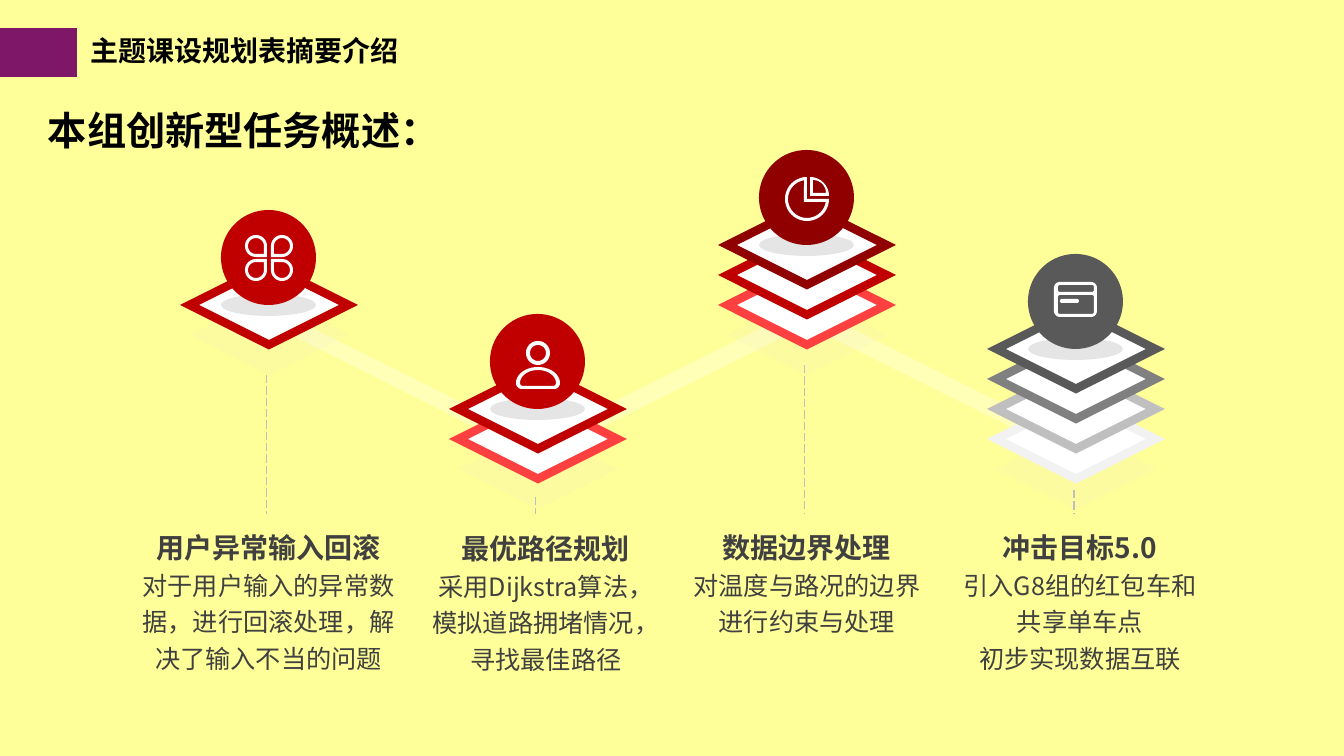
import math

import pptx
import pptx.dml.color
import pptx.enum.dml
import pptx.enum.shapes
import pptx.enum.text
import pptx.oxml.ns
import pptx.util
from lxml import etree

PX = 12192000 / 1344
FONT = "Noto Sans CJK SC"
INK = {
    "page": "FFFF99", "plum": "7F1769", "black": "000000", "text": "404040",
    "white": "FFFFFF", "shade": "E5DEDB", "coral": "FF4040", "red": "C00000",
    "wine": "900000", "pale": "F2F2F2", "light": "BFBFBF", "mid": "808080",
    "dark": "595959",
}
PITCH = 269
LIFT = 30


def emu(n):
    return round(n * PX)


def rgb(name):
    return pptx.dml.color.RGBColor.from_string(INK[name])


def qn(tag):
    return pptx.oxml.ns.qn(tag)


def paint(shape, ink, alpha=100):
    shape.shadow.inherit = False
    shape.fill.solid()
    shape.fill.fore_color.rgb = rgb(ink)
    shape.line.fill.background()
    if alpha < 100:
        tint = shape._element.spPr.find(".//" + qn("a:srgbClr"))
        etree.SubElement(tint, qn("a:alpha"), val=str(alpha * 1000))


def block(slide, kind, box, ink, alpha=100):
    paint(slide.shapes.add_shape(kind, *map(emu, box)), ink, alpha)


def trace(slide, loops, ink, alpha=100, x=0, y=0):
    build = None
    for loop in loops:
        pts = [(emu(x + px), emu(y + py)) for px, py in loop]
        if build is None:
            build = slide.shapes.build_freeform(*pts[0], scale=1.0)
        else:
            build.move_to(*pts[0])
        build.add_line_segments(pts[1:], close=True)
    paint(build.convert_to_shape(), ink, alpha)


def arc(x, y, rx, ry, start, end):
    count = max(6, (end - start) // 9)
    turns = [math.radians(start + (end - start) * i / count) for i in range(count + 1)]
    return [(x + rx * math.cos(t), y + ry * math.sin(t)) for t in turns]


def round_box(x, y, w, h, r):
    return (arc(x + r, y + r, r, r, 180, 270) + arc(x + w - r, y + r, r, r, 270, 360)
            + arc(x + w - r, y + h - r, r, r, 0, 90) + arc(x + r, y + h - r, r, r, 90, 180))


def petal(sx, sy, r):
    pts = arc(0, 0, r, r, 90, 360) + [(r, r)]
    return [(sx * (px - 13), sy * (py - 12)) for px, py in pts]


def torso(rx, ry, r):
    return (arc(0, 21, rx, ry, 180, 360) + arc(rx - r, 21, r, r, 0, 90)
            + arc(r - rx, 21, r, r, 90, 180))


def clover():
    return [petal(sx, sy, r) for sx in (1, -1) for sy in (1, -1) for r in (11, 8)]


def person():
    heads = [arc(0, -9, r, r, 0, 360) for r in (12, 8)]
    return heads + [torso(22, 16, 6), torso(18, 13, 3)]


def pie():
    return [arc(0, 1, 22, 22, 0, 270) + [(0, 1)],
            arc(0, 1, 19, 19, 9, 261) + [(-3, 4)],
            arc(3, -2, 19, 19, 270, 360) + [(3, -2)],
            arc(6, -5, 13, 13, 270, 360) + [(6, -5)]]


def card():
    return [round_box(-22, -20, 43, 35, 6), round_box(-18, -17, 36, 7, 2),
            round_box(-18, -7, 36, 19, 2), round_box(-16, -3, 19, 4, 2)]


def kite(w, h):
    return [(w, 0), (0, h), (-w, 0), (0, -h)]


def stack(slide, x, y, inks, icon):
    oval = pptx.enum.shapes.MSO_SHAPE.OVAL
    trace(slide, [kite(80, 40)], "shade", 10, x, y + LIFT)
    for i, ink in enumerate(inks):
        level = y - LIFT * i
        trace(slide, [kite(80, 40)], "white", 100, x, level)
        trace(slide, [kite(89, 44.5), kite(70, 35)], ink, 100, x, level)
    block(slide, oval, (x - 48, level - 11, 95, 22), "black", 10)
    block(slide, oval, (x - 48, level - 95, 95, 95), inks[-1])
    trace(slide, icon, "white", 100, x, level - 47)


def write(para, text, size, ink, bold=False):
    run = para.add_run()
    run.text = text
    run.font.size = pptx.util.Pt(size)
    run.font.bold = bold
    run.font.name = FONT
    run.font.color.rgb = rgb(ink)
    latin = run._r.rPr.find(qn("a:latin"))
    latin.addnext(latin.makeelement(qn("a:ea"), {"typeface": FONT}))


def set_frame(frame, wrap=True):
    frame.word_wrap = wrap
    frame.auto_size = pptx.enum.text.MSO_AUTO_SIZE.SHAPE_TO_FIT_TEXT
    frame.vertical_anchor = pptx.enum.text.MSO_ANCHOR.TOP


def head(slide):
    title = slide.shapes.title
    title.left, title.top, title.width, title.height = map(emu, (80, 22, 332, 47))
    set_frame(title.text_frame, False)
    para = title.text_frame.paragraphs[0]
    para.alignment = pptx.enum.text.PP_ALIGN.LEFT
    para.line_spacing = 1.2
    write(para, "主题课设规划表摘要介绍", 20, "black", True)
    block(slide, pptx.enum.shapes.MSO_SHAPE.RECTANGLE, (0, 28, 77, 49), "plum")
    frame = slide.shapes.add_textbox(*map(emu, (38, 101, 578, 89))).text_frame
    set_frame(frame)
    write(frame.paragraphs[0], "本组创新型任务概述：", 28, "black", True)


def note(slide, box, lines):
    frame = slide.shapes.add_textbox(*map(emu, box)).text_frame
    set_frame(frame)
    frame.margin_left = frame.margin_right = frame.margin_top = frame.margin_bottom = 0
    for i, line in enumerate(lines):
        para = frame.add_paragraph() if i else frame.paragraphs[0]
        para.alignment = pptx.enum.text.PP_ALIGN.CENTER
        para.line_spacing = 1.2
        write(para, line, 18 if i else 20, "text", i == 0)


def drop(slide, x, top):
    kind = pptx.enum.shapes.MSO_CONNECTOR.STRAIGHT
    line = slide.shapes.add_connector(kind, *map(emu, (x, top, x, 514)))
    line.line.color.rgb = rgb("light")
    line.line.width = pptx.util.Pt(0.75)
    line.line.dash_style = pptx.enum.dml.MSO_LINE.LONG_DASH
    etree.SubElement(line._element.spPr, qn("a:effectLst"))


def main():
    """Build the slide of four task stacks and save it."""
    deck = pptx.Presentation()
    deck.slide_width, deck.slide_height = emu(1344), emu(756)
    slide = deck.slides.add_slide(deck.slide_layouts[5])
    slide.background.fill.solid()
    slide.background.fill.fore_color.rgb = rgb("page")
    head(slide)
    beams = [
        [(502, 441), (251, 315), (258, 301), (509, 426)],
        [(574, 441), (566, 426), (810, 304), (818, 320)],
        [(1039, 441), (804, 324), (811, 308), (1047, 426)],
    ]
    for beam in beams:
        trace(slide, [beam], "white", 30)
    tasks = [
        (305, ["red"], clover(), 375, (142, 524, 253, 147),
         ["用户异常输入回滚", "对于用户输入的异常数据，进行回滚处理，解决了输入不当的问题"]),
        (439, ["coral", "red"], person(), 497, (429, 525, 234, 147),
         ["最优路径规划", "采用Dijkstra算法，模拟道路拥堵情况，寻找最佳路径"]),
        (305, ["coral", "red", "wine"], pie(), 365, (690, 524, 234, 111),
         ["数据边界处理", "对温度与路况的边界进行约束与处理"]),
        (439, ["pale", "light", "mid", "dark"], card(), 490, (963, 524, 234, 151),
         ["冲击目标5.0", "引入G8组的红包车和共享单车点", "初步实现数据互联"]),
    ]
    for i, (base, inks, icon, top, box, lines) in enumerate(tasks, 1):
        stack(slide, PITCH * i, base, inks, icon)
        drop(slide, PITCH * i - 2, top)
        note(slide, box, lines)
    deck.save("out.pptx")


if __name__ == "__main__":
    main()
